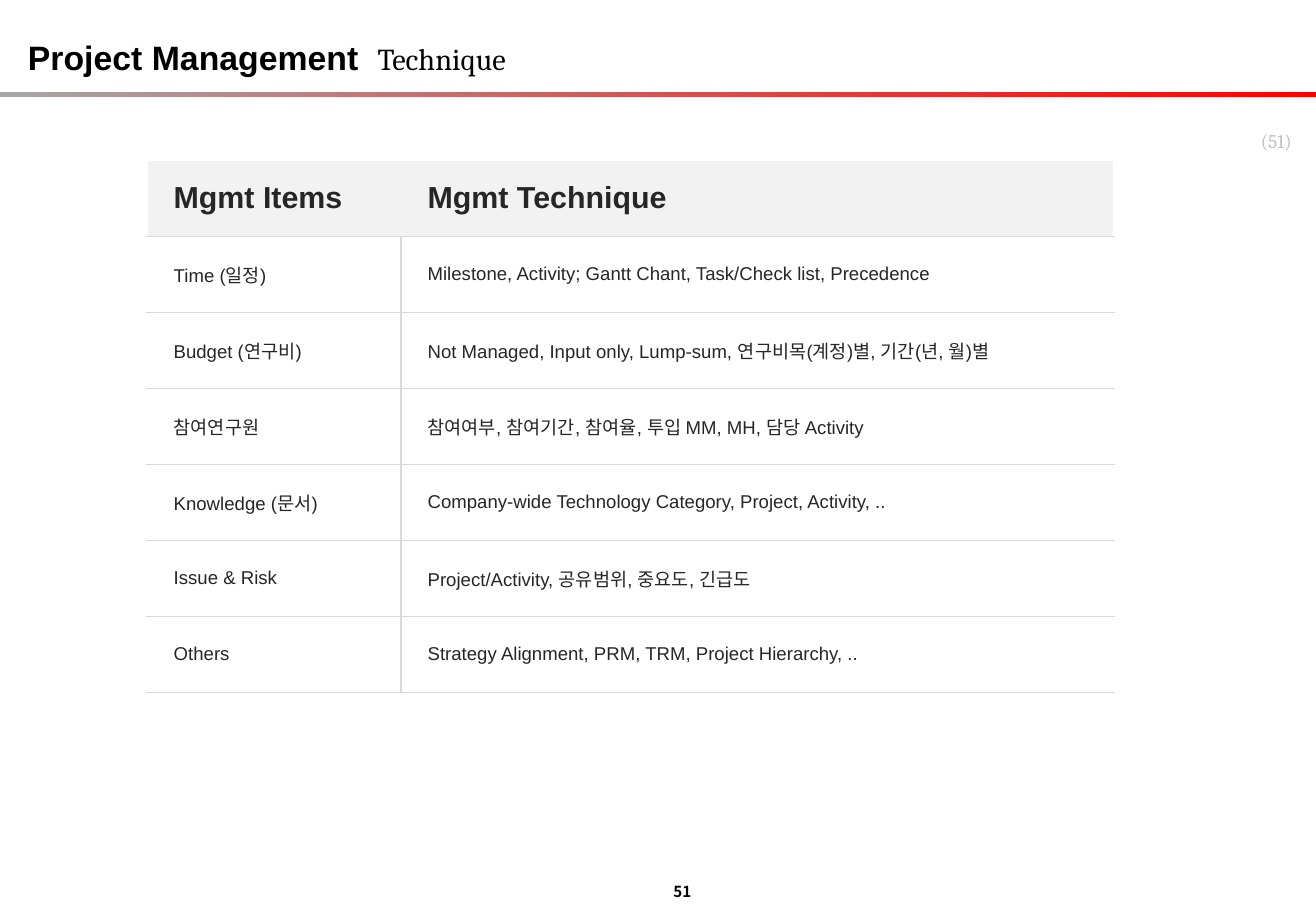
from lxml.etree import SubElement as Sub
from pptx import Presentation
from pptx.dml.color import RGBColor
from pptx.enum.shapes import MSO_SHAPE as Shape
from pptx.enum.text import MSO_ANCHOR as Anchor, MSO_AUTO_SIZE as Auto, PP_ALIGN as Align
from pptx.oxml.ns import qn
from pptx.util import Pt

ROWS = [
    ("Mgmt Items", "Mgmt Technique"),
    ("Time (일정)", "Milestone, Activity; Gantt Chant, Task/Check list, Precedence"),
    ("Budget (연구비)", "Not Managed, Input only, Lump-sum, 연구비목(계정)별, 기간(년, 월)별"),
    ("참여연구원", "참여여부, 참여기간, 참여율, 투입 MM, MH, 담당 Activity"),
    ("Knowledge (문서)", "Company-wide Technology Category, Project, Activity, .."),
    ("Issue & Risk", "Project/Activity, 공유범위, 중요도, 긴급도"),
    ("Others", "Strategy Alignment, PRM, TRM, Project Hierarchy, .."),
]
COLS = (209, 587)
BLACK = RGBColor(0x00, 0x00, 0x00)
INK = RGBColor(0x26, 0x26, 0x26)
PALE = RGBColor(0xBF, 0xBF, 0xBF)
RULE = RGBColor(0xD9, 0xD9, 0xD9)
HEAD = RGBColor(0xF2, 0xF2, 0xF2)
WHITE = RGBColor(0xFF, 0xFF, 0xFF)
GREY = RGBColor(0xA6, 0xA6, 0xA6)
RED = RGBColor(0xFF, 0x00, 0x00)
KOREAN = "Noto Sans CJK KR"
SCALE = 9144


def px(*nums):
    return [n * SCALE for n in nums]


def write(frame, text, size=11, face="Arial", color=INK, bold=False, align=Align.LEFT):
    para = frame.paragraphs[0]
    para.alignment = align
    run = para.add_run()
    run.text = text
    font = run.font
    font.size, font.bold, font.name = Pt(size), bold, face
    font.color.rgb = color
    Sub(font._element, qn("a:ea")).set("typeface", KOREAN)


def edge(cell, side, color):
    props = cell._tc.get_or_add_tcPr()
    line = Sub(props, qn("a:ln" + side))
    if color is None:
        line.set("w", "0")
        Sub(line, qn("a:noFill"))
        return
    line.set("w", str(Pt(1 if color == WHITE else 0.75)))
    fill = Sub(line, qn("a:solidFill"))
    Sub(fill, qn("a:srgbClr")).set("val", str(color))


def label(slide, box, text, **style):
    frame = slide.shapes.add_textbox(*px(*box)).text_frame
    frame.word_wrap = True
    frame.vertical_anchor = Anchor.MIDDLE
    frame.margin_left, frame.margin_right, frame.margin_top, frame.margin_bottom = px(8, 8, 4, 4)
    write(frame, text, align=Align.RIGHT, **style)


def grid(slide):
    table = slide.shapes.add_table(len(ROWS), len(COLS), *px(121, 132, sum(COLS), 438)).table
    table.horz_banding = False
    for col, wide in zip(table.columns, px(*COLS)):
        col.width = wide
    for r, row in enumerate(ROWS):
        top = r == 0
        mid = None if top else RULE
        for c, text in enumerate(row):
            cell = table.cell(r, c)
            cell.vertical_anchor = Anchor.MIDDLE
            cell.margin_left, cell.margin_right, cell.margin_top, cell.margin_bottom = px(22, 22, 12, 12)
            write(cell.text_frame, text, size=18 if top else 11, bold=top)
            edge(cell, "L", mid if c else WHITE)
            edge(cell, "R", WHITE if c else mid)
            edge(cell, "T", WHITE if top else RULE)
            edge(cell, "B", RULE)
            cell.fill.solid()
            cell.fill.fore_color.rgb = HEAD if top else WHITE


def main():
    deck = Presentation()
    deck.slide_width, deck.slide_height = px(1083, 750)
    slide = deck.slides.add_slide(deck.slide_layouts[5])

    bar = slide.shapes.add_shape(Shape.RECTANGLE, *px(0, 76, 1083, 4))
    bar.shadow.inherit = False
    bar.line.fill.background()
    bar.fill.gradient()
    bar.fill.gradient_angle = 0
    for stop, color in zip(bar.fill.gradient_stops, (GREY, RED)):
        stop.color.rgb = color

    title = slide.shapes.title
    title.left, title.top, title.width, title.height = px(13, 25, 445, 44)
    frame = title.text_frame
    frame.word_wrap = False
    frame.auto_size = Auto.SHAPE_TO_FIT_TEXT
    frame.vertical_anchor = Anchor.TOP
    write(frame, "Project Management  ", size=20, color=BLACK, bold=True)
    write(frame, "Technique", size=18, face="Cambria", color=BLACK)

    label(slide, (827, 100, 244, 32), "(51)", size=11.4, face="Cambria", color=PALE)
    grid(slide)
    label(slide, (540, 721, 37, 25), "51", size=9, face=KOREAN, color=BLACK, bold=True)
    deck.save("out.pptx")


if __name__ == "__main__":
    main()
